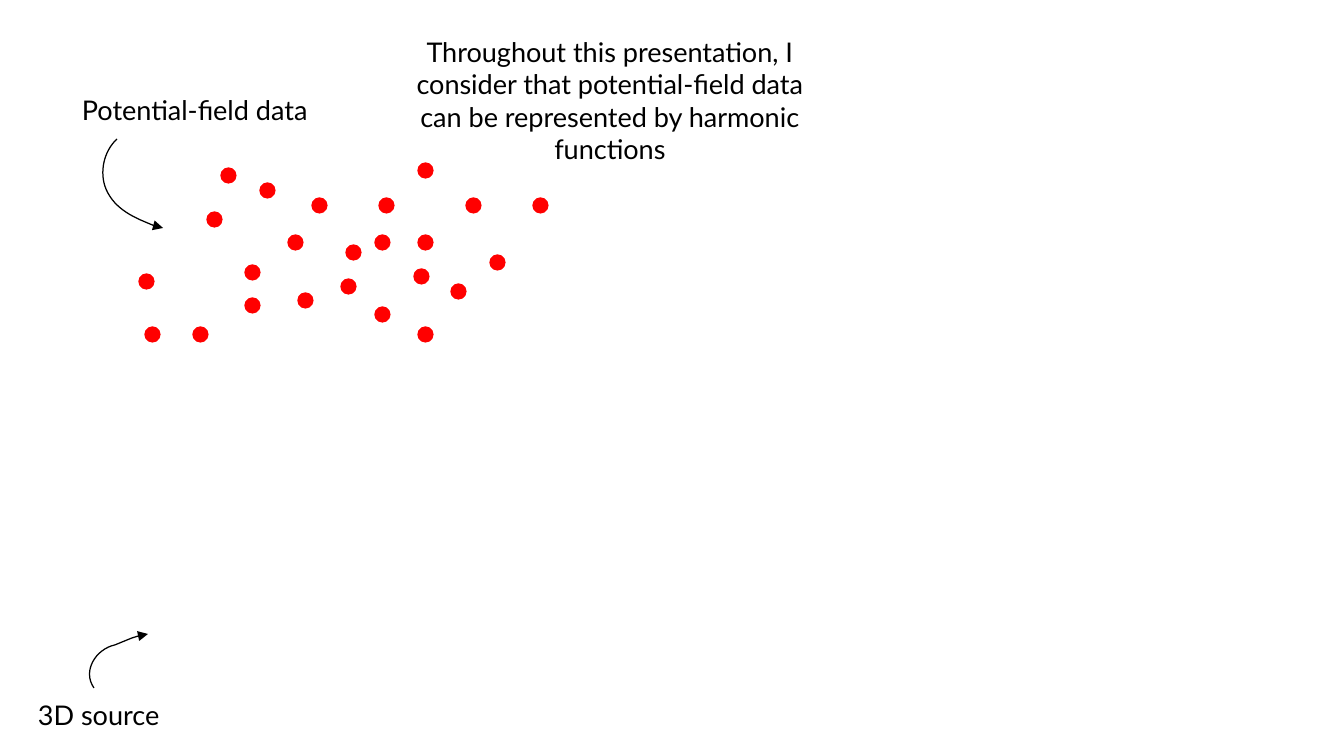
"""Build the slide on potential-field data above a 3D source."""
from lxml import etree
from pptx import Presentation
from pptx import util as u
from pptx.dml.color import RGBColor
from pptx.enum import shapes, text
from pptx.oxml.ns import qn

COLORS = {"ink": "000000", "dot": "FF0000"}
SCALE = 914400 / 122
DOT = 15
STEPS = 16


def px(n):
    return u.Emu(round(n * SCALE))


def bezier(a, b, c, d):
    spots = []
    for i in range(1, STEPS + 1):
        t = i / STEPS
        s = 1 - t
        spots.append(tuple(
            px(s**3 * p + 3 * s * s * t * q + 3 * s * t * t * r + t**3 * e)
            for p, q, r, e in zip(a, b, c, d)))
    return spots


ink, red = (RGBColor.from_string(COLORS[k]) for k in ("ink", "dot"))
deck = Presentation()
deck.slide_width, deck.slide_height = px(1344), px(756)
slide = deck.slides.add_slide(deck.slide_layouts[6])

labels = [
    ("3D source", 26, 692, 151, 49, False),
    ("Potential-field data", 70, 87, 265, 49, False),
    ("Throughout this presentation, I consider that potential-field data "
     "can be represented by harmonic functions", 394, 29, 432, 77, True),
]
for words, x, y, w, h, wrap in labels:
    box = slide.shapes.add_textbox(px(x), px(y), px(w), px(h))
    frame = box.text_frame
    frame.word_wrap = wrap
    frame.auto_size = (text.MSO_AUTO_SIZE.NONE if wrap
                       else text.MSO_AUTO_SIZE.SHAPE_TO_FIT_TEXT)
    frame.text = words
    para = frame.paragraphs[0]
    para.alignment = text.PP_ALIGN.CENTER if wrap else text.PP_ALIGN.LEFT
    para.font.name = "Lato"
    para.font.size = u.Pt(16)
    para.font.color.rgb = ink

spots = [
    (418, 235), (451, 284), (346, 245), (414, 269), (418, 327), (375, 235),
    (418, 163), (379, 198), (341, 279), (375, 307), (139, 274), (288, 235),
    (298, 293), (245, 298), (245, 265), (207, 212), (221, 168), (260, 183),
    (312, 198), (145, 327), (193, 327), (490, 255), (466, 198), (533, 198),
]
data = slide.shapes.add_group_shape()
for x, y in spots:
    dot = data.shapes.add_shape(
        shapes.MSO_SHAPE.OVAL, px(x), px(y), px(DOT), px(DOT))
    dot.shadow.inherit = False
    dot.fill.solid()
    dot.fill.fore_color.rgb = red
    dot.line.color.rgb = red
    dot.line.width = 0

arrows = [
    ((117, 139),
     [((104, 151), (99, 172), (106, 189)), ((115, 210), (135, 218), (155, 226))],
     [(163, 228)]),
    ((94, 688),
     [((82, 671), (96, 649), (115, 645))],
     [(132, 638), (145, 634), (148, 634)]),
]
for start, bends, ends in arrows:
    pen = slide.shapes.build_freeform(px(start[0]), px(start[1]))
    for bend in bends:
        pen.add_line_segments(bezier(start, *bend), close=False)
        start = bend[-1]
    pen.add_line_segments([(px(x), px(y)) for x, y in ends], close=False)
    arrow = pen.convert_to_shape()
    arrow.shadow.inherit = False
    arrow.fill.background()
    arrow.line.color.rgb = ink
    arrow.line.width = 0
    etree.SubElement(arrow.line._get_or_add_ln(), qn("a:tailEnd"), type="triangle")

deck.save("out.pptx")
